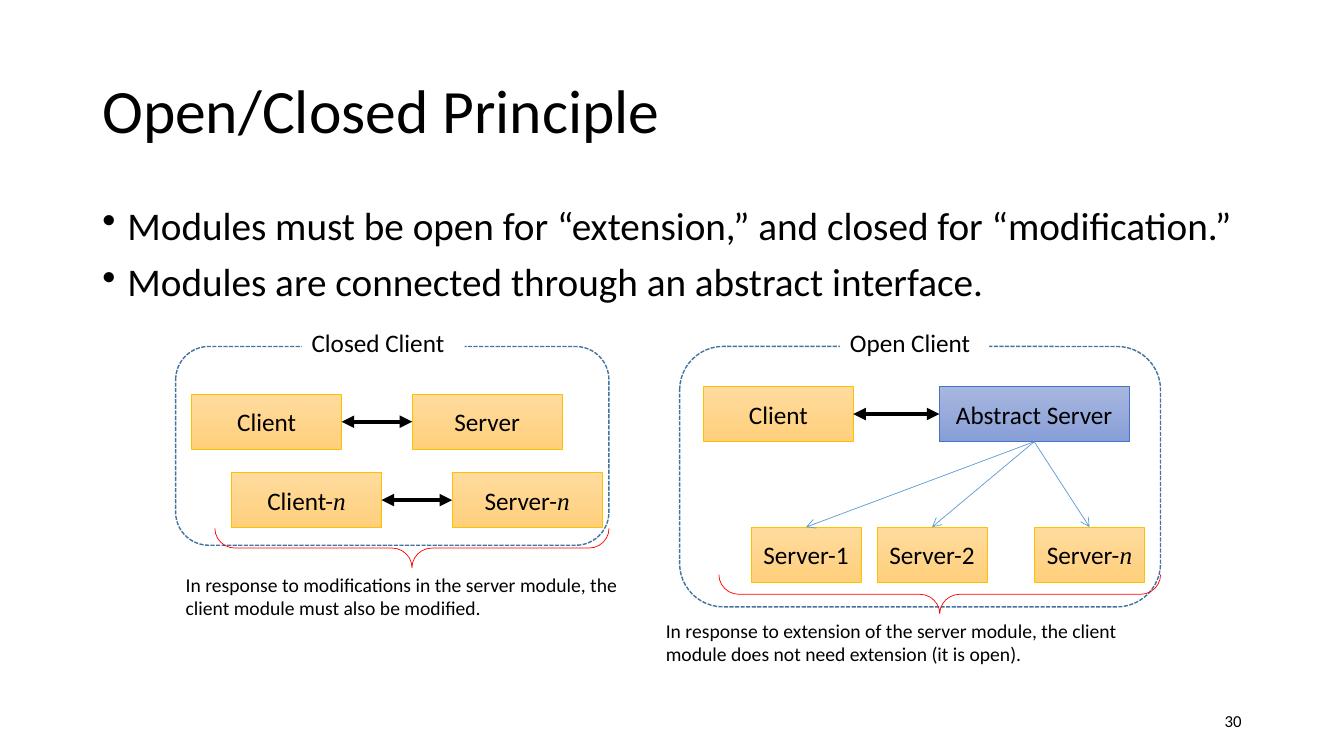
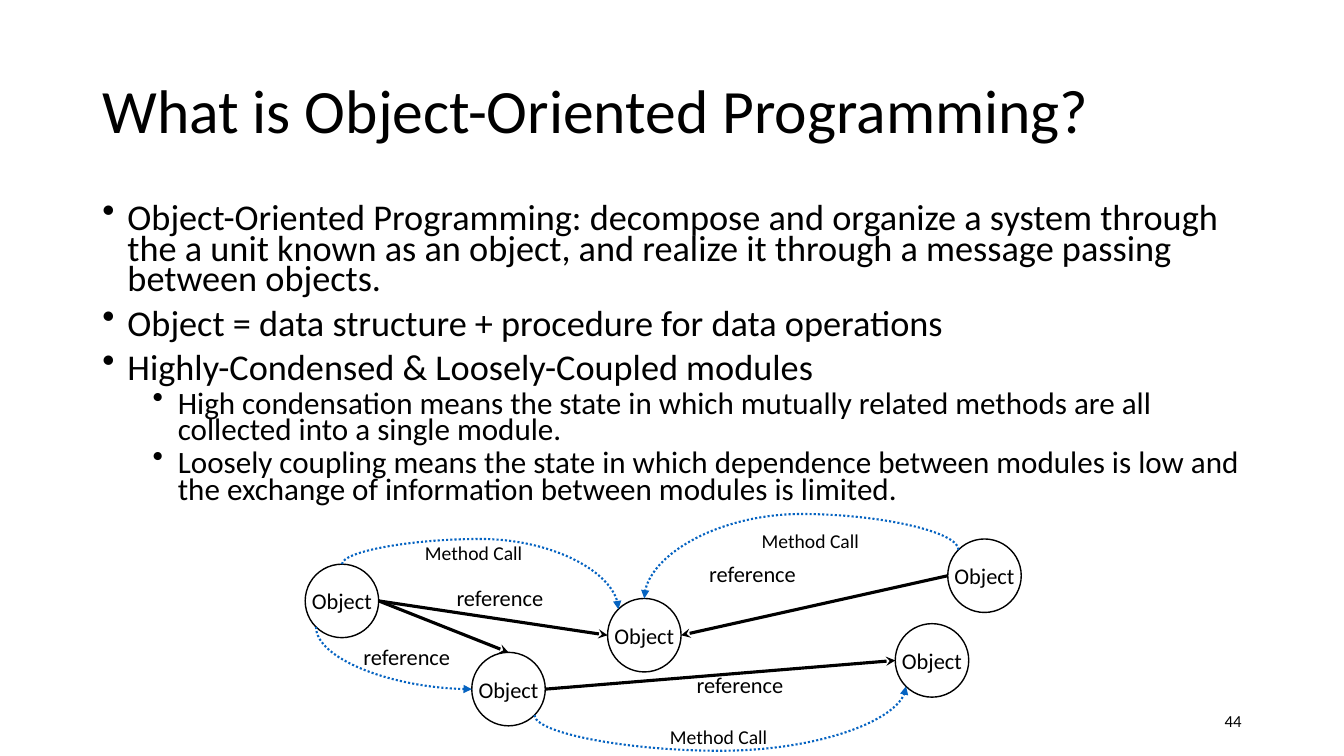
import math

import lxml.etree
import pptx
import pptx.dml.color
import pptx.enum.dml
import pptx.enum.shapes
import pptx.enum.text
import pptx.oxml.ns
import pptx.util

Pt = pptx.util.Pt
qn = pptx.oxml.ns.qn
SHAPE = pptx.enum.shapes.MSO_SHAPE
CONNECTOR = pptx.enum.shapes.MSO_CONNECTOR
DASH = pptx.enum.dml.MSO_LINE
ALIGN = pptx.enum.text.PP_ALIGN
ANCHOR = pptx.enum.text.MSO_ANCHOR
AUTO_SIZE = pptx.enum.text.MSO_AUTO_SIZE

FONT = "Calibri"
MATH_FONT = "Times New Roman"
COLORS = {
    "text": "000000",
    "paper": "FFFFFF",
    "box_line": "FFC000",
    "abstract_line": "4472C4",
    "frame": "43739E",
    "brace": "FF0000",
    "inherit": "5B9BD5",
    "call": "0563C1",
}
GOLD = ("FFDB9E", "FFD07C", "box_line")
BLUE = ("A8B7DF", "889ED7", "abstract_line")
TOP, LEFT, BOTTOM, RIGHT = range(4)
DIAMETER = 52.5


def rgb(value):
    return pptx.dml.color.RGBColor.from_string(COLORS.get(value, value))


def style_font(paragraph, size):
    paragraph.font.name = FONT
    paragraph.font.size = Pt(size)
    paragraph.font.color.rgb = rgb("text")


def add_text(slide, box, text, size, anchor=ANCHOR.TOP, align=ALIGN.LEFT, wrap=True):
    shape = slide.shapes.add_textbox(*map(Pt, box))
    frame = shape.text_frame
    frame.word_wrap = wrap
    frame.vertical_anchor = anchor
    paragraph = frame.paragraphs[0]
    paragraph.text = text
    paragraph.alignment = align
    style_font(paragraph, size)
    return shape


def add_label(slide, box, text, size, wrap=False):
    shape = add_text(slide, box, text, size, wrap=wrap)
    shape.text_frame.auto_size = AUTO_SIZE.SHAPE_TO_FIT_TEXT
    return shape


def add_base(presentation, title, number):
    """Add a blank slide with its title and slide number."""
    slide = presentation.slides.add_slide(presentation.slide_layouts[6])
    shape = add_text(slide, (66, 29, 828, 104), title, 44, ANCHOR.MIDDLE)
    shape.text_frame.paragraphs[0].line_spacing = 0.9
    add_text(slide, (678, 500.5, 216, 29), number, 12, ANCHOR.MIDDLE, ALIGN.RIGHT)
    return slide


def add_bullets(slide, height, items, sizes, line_spacing):
    """Items are (level, text) pairs; sizes holds one font size per level."""
    shape = slide.shapes.add_textbox(Pt(66), Pt(144), Pt(828), Pt(height))
    frame = shape.text_frame
    frame.word_wrap = True
    for index, (level, text) in enumerate(items):
        paragraph = frame.add_paragraph() if index else frame.paragraphs[0]
        paragraph.text = text
        paragraph.level = level
        paragraph.line_spacing = line_spacing
        if index:
            paragraph.space_before = Pt(5 if level else 10)
        properties = paragraph._p.get_or_add_pPr()
        properties.set("marL", str(Pt(18 + 36 * level)))
        properties.set("indent", str(Pt(-18)))
        lxml.etree.SubElement(properties, qn("a:buChar")).set("char", "•")
        style_font(paragraph, sizes[level])


def add_shape(slide, kind, box, line, width, fill=None):
    shape = slide.shapes.add_shape(kind, *map(Pt, box))
    shape.shadow.inherit = False
    if fill:
        shape.fill.solid()
        shape.fill.fore_color.rgb = rgb(fill)
    else:
        shape.fill.background()
    shape.line.color.rgb = rgb(line)
    shape.line.width = Pt(width)
    return shape


def center_text(shape, text, size):
    shape.text_frame.vertical_anchor = ANCHOR.MIDDLE
    paragraph = shape.text_frame.paragraphs[0]
    paragraph.alignment = ALIGN.CENTER
    paragraph.text = text
    style_font(paragraph, size)
    return paragraph


def add_module(slide, left, top, text, width=107, palette=GOLD, suffix=""):
    """Add a gradient box; the suffix is set as an italic variable."""
    start, end, line = palette
    shape = add_shape(slide, SHAPE.FLOWCHART_PROCESS, (left, top, width, 39.5), line, 0.5)
    shape.fill.gradient()
    shape.fill.gradient_angle = 270
    for stop, color in zip(shape.fill.gradient_stops, (start, end)):
        stop.color.rgb = rgb(color)
    paragraph = center_text(shape, text, 18)
    if suffix:
        run = paragraph.add_run()
        run.text = suffix
        run.font.name = MATH_FONT
        run.font.italic = True
    return shape


def style_connector(connector, color, width, tail, head=None, dash=None):
    connector.line.color.rgb = rgb(color)
    connector.line.width = Pt(width)
    if dash:
        connector.line.dash_style = dash
    line = connector.line._get_or_add_ln()
    for tag, kind in (("a:headEnd", head), ("a:tailEnd", tail)):
        if kind:
            lxml.etree.SubElement(line, qn(tag)).set("type", kind)
    lxml.etree.SubElement(connector._element.spPr, qn("a:effectLst"))


def join_modules(slide, source, source_side, target, target_side, *style):
    connector = slide.shapes.add_connector(CONNECTOR.STRAIGHT, 0, 0, 0, 0)
    connector.begin_connect(source, source_side)
    connector.end_connect(target, target_side)
    style_connector(connector, *style)


def add_client_frame(slide, box, label, label_left, label_width, brace_rise, caption, caption_box):
    """Add a dashed frame with its label, the brace below it and a caption."""
    left, top, width, height = box
    frame = add_shape(slide, SHAPE.ROUNDED_RECTANGLE, box, "frame", 1)
    frame.line.dash_style = DASH.SQUARE_DOT
    title = add_label(slide, (label_left, top - 17, label_width, 29), label, 18)
    title.fill.solid()
    title.fill.fore_color.rgb = rgb("paper")

    depth, span = 28, width - 28
    center_x = left + width - span / 2
    center_y = top + height - brace_rise + depth / 2
    brace_box = (center_x - depth / 2, center_y - span / 2, depth, span)
    brace = add_shape(slide, SHAPE.RIGHT_BRACE, brace_box, "brace", 0.5)
    brace.adjustments[0] = 0.51
    brace.rotation = 90
    add_label(slide, caption_box, caption, 14, wrap=True)


def add_object(slide, left, top):
    shape = add_shape(slide, SHAPE.OVAL, (left, top, DIAMETER, DIAMETER), "text", 1, "paper")
    shape.text_frame.word_wrap = False
    center_text(shape, "Object", 16)
    return shape


def circle_site(shape, site):
    """Return a connection site; the eight sites run anticlockwise from the top."""
    angle = site * math.pi / 4
    radius = shape.width / 2
    return (int(shape.left + radius * (1 - math.sin(angle))),
            int(shape.top + radius * (1 - math.cos(angle))))


def glue(connector, source, source_site, target, target_site):
    """Record the joined circles, which have eight sites instead of four."""
    properties = connector._element.nvCxnSpPr.cNvCxnSpPr
    for tag, shape, site in (("a:stCxn", source, source_site), ("a:endCxn", target, target_site)):
        joint = lxml.etree.SubElement(properties, qn(tag))
        joint.set("id", str(shape.shape_id))
        joint.set("idx", str(site))


def add_reference(slide, *ends):
    source, source_site, target, target_site = ends
    connector = slide.shapes.add_connector(
        CONNECTOR.STRAIGHT, *circle_site(source, source_site), *circle_site(target, target_site))
    glue(connector, *ends)
    style_connector(connector, "text", 2.25, "stealth")


def add_call(slide, ends, rotation, flips, bulge=None):
    """Add a dotted curve that swings out by bulge, or a quarter turn without it."""
    source, source_site, target, target_site = ends
    x1, y1 = circle_site(source, source_site)
    x2, y2 = circle_site(target, target_site)
    # The frame is turned by a quarter, so its width is the vertical distance.
    width, height = abs(y2 - y1), abs(x2 - x1)
    left, top = (x1 + x2 - width) // 2, (y1 + y2 - height) // 2
    connector = slide.shapes.add_connector(
        CONNECTOR.CURVE, left, top, left + width, top + height)
    connector.rotation = rotation
    properties = connector._element.spPr
    for flip in flips:
        properties.find(qn("a:xfrm")).set(flip, "1")
    geometry = properties.find(qn("a:prstGeom"))
    if bulge is None:
        geometry.set("prst", "curvedConnector2")
    else:
        values = geometry.find(qn("a:avLst"))
        if values is None:
            values = lxml.etree.SubElement(geometry, qn("a:avLst"))
        guide = lxml.etree.SubElement(values, qn("a:gd"))
        guide.set("name", "adj1")
        guide.set("fmla", f"val {round(-100000 * Pt(bulge) / width)}")
    glue(connector, *ends)
    style_connector(connector, "call", 1.5, "triangle", None, DASH.ROUND_DOT)


def build_open_closed(presentation):
    slide = add_base(presentation, "Open/Closed Principle", "30")
    add_bullets(slide, 343, [
        (0, "Modules must be open for “extension,” and closed for “modification.”"),
        (0, "Modules are connected through an abstract interface."),
    ], (28,), 0.9)
    two_way = ("text", 3, "triangle", "triangle")

    for left, top, dash, suffix in ((137, 281.5, "", ""), (165.5, 337.5, "-", "n")):
        client = add_module(slide, left, top, "Client" + dash, suffix=suffix)
        server = add_module(slide, left + 157.5, top, "Server" + dash, suffix=suffix)
        join_modules(slide, client, RIGHT, server, LEFT, *two_way)

    client = add_module(slide, 502.5, 276, "Client")
    abstract = add_module(slide, 671, 276, "Abstract Server", 135.5, BLUE)
    join_modules(slide, client, RIGHT, abstract, LEFT, *two_way)
    for left, text, suffix in ((536.5, "Server-1", ""), (626.5, "Server-2", ""), (739, "Server-", "n")):
        server = add_module(slide, left, 376.5, text, 78.5, suffix=suffix)
        join_modules(slide, abstract, BOTTOM, server, TOP, "inherit", 0.5, "arrow")

    add_client_frame(
        slide, (125.5, 247.5, 309.5, 142), "Closed Client", 215.5, 116.5, 12,
        "In response to modifications in the server module, the client module must also be modified.",
        (125.5, 405.5, 326, 41))
    add_client_frame(
        slide, (485.5, 247.5, 343.5, 186), "Open Client", 600, 106.5, 23,
        "In response to extension of the server module, the client module does not need "
        "extension (it is open).",
        (468.5, 438.5, 366, 41))


def build_object_oriented(presentation):
    slide = add_base(presentation, "What is Object-Oriented Programming?", "44")
    add_bullets(slide, 232.5, [
        (0, "Object-Oriented Programming: decompose and organize a system through the a unit "
            "known as an object, and realize it through a message passing between objects."),
        (0, "Object = data structure + procedure for data operations"),
        (0, "Highly-Condensed & Loosely-Coupled modules"),
        (1, "High condensation means the state in which mutually related methods are all "
            "collected into a single module."),
        (1, "Loosely coupling means the state in which dependence between modules is low and "
            "the exchange of information between modules is limited."),
    ], (25.9, 22.2), 0.7)

    first = add_object(slide, 218, 403)
    lower_right = add_object(slide, 639.5, 445.5)
    upper_right = add_object(slide, 677, 385)
    lower = add_object(slide, 337, 466)
    center = add_object(slide, 434, 427.5)

    add_call(slide, (first, 0, center, 1), 270, ["flipH"], 18)
    add_call(slide, (lower, 5, lower_right, 3), 90, ["flipH", "flipV"], 25.5)
    add_call(slide, (upper_right, 1, center, 0), 270, ["flipH", "flipV"], 25.5)
    add_call(slide, (first, 3, lower, 2), 270, ["flipH"])

    add_reference(slide, first, 6, center, 2)
    add_reference(slide, lower, 6, lower_right, 2)
    add_reference(slide, upper_right, 2, center, 6)
    add_reference(slide, first, 6, lower, 0)

    for left, top in ((296.5, 383), (537, 374.5), (471.5, 514)):
        add_label(slide, (left, top, 85.5, 24.5), "Method Call", 14)
    for left, top in ((319, 414), (252.5, 456), (490.5, 476), (499.5, 396.5)):
        add_label(slide, (left, top, 76.5, 26.5), "reference", 16)


def main():
    presentation = pptx.Presentation()
    presentation.slide_width, presentation.slide_height = Pt(960), Pt(540)
    build_open_closed(presentation)
    build_object_oriented(presentation)
    presentation.save("out.pptx")


if __name__ == "__main__":
    main()
